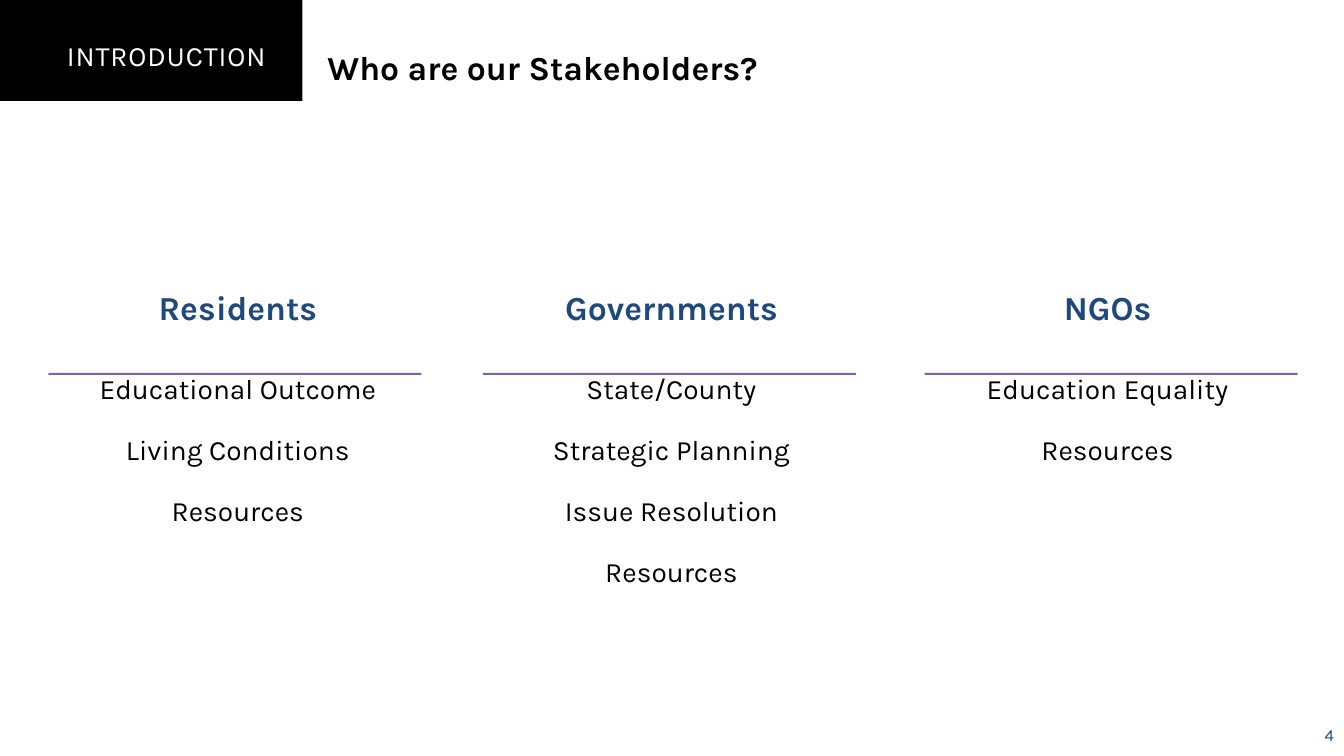
import math

from pptx import Presentation, util as u
from pptx.dml.color import RGBColor
from pptx.enum import shapes, text

BLACK, WHITE, NAVY, PURPLE = "000000", "FFFFFF", "1F497D", "8064A2"
WIDTH, HEIGHT = 13.33, 7.5


def paint(fill, color):
    fill.solid()
    fill.fore_color.rgb = RGBColor.from_string(color)


def write(frame, lines, align, wrap=True):
    """Fill a frame with (text, size, color, bold, before, after) lines."""
    frame.word_wrap = wrap
    frame.auto_size = text.MSO_AUTO_SIZE.NONE
    frame.vertical_anchor = text.MSO_ANCHOR.TOP
    for i, (words, size, color, bold, before, after) in enumerate(lines):
        line = frame.add_paragraph() if i else frame.paragraphs[0]
        line.text = words
        line.alignment = align
        line.line_spacing = 0.9
        line.space_before, line.space_after = u.Pt(before), u.Pt(after)
        line.font.name, line.font.size, line.font.bold = "Karla", u.Pt(size), bold
        paint(line.font.fill, color)


prs = Presentation()
prs.slide_width, prs.slide_height = u.Inches(WIDTH), u.Inches(HEIGHT)
slide = prs.slides.add_slide(prs.slide_layouts[5])
CENTER, LEFT, RIGHT = text.PP_ALIGN.CENTER, text.PP_ALIGN.LEFT, text.PP_ALIGN.RIGHT

# Half disc hanging from the top edge
center_x, radius_x, radius_y = 1.65, 1.5, 1.49
arc = [(center_x + radius_x * math.cos(math.radians(a)),
        radius_y * math.sin(math.radians(a))) for a in range(0, 181, 2)]
outline = slide.shapes.build_freeform(*arc[0], scale=u.Inches(1))
outline.add_line_segments(arc[1:], close=True)
half_disc = outline.convert_to_shape()
half_disc.shadow.inherit = False
paint(half_disc.fill, BLACK)
half_disc.line.fill.background()

# Section title, in front of the half disc
section = slide.shapes.title
section.left, section.top = u.Inches(0.35), u.Inches(0.37)
section.width, section.height = u.Inches(2.6), u.Inches(0.4)
write(section.text_frame, [("INTRODUCTION", 20, WHITE, False, 0, 0)], CENTER)
section.text_frame.paragraphs[0].runs[0].font._element.set("spc", "60")
half_disc._element.addnext(section._element)

# Question
question = slide.shapes.add_textbox(
    u.Inches(3.15), u.Inches(0.46), u.Inches(9.93), u.Inches(0.46))
write(question.text_frame,
      [("Who are our Stakeholders?", 24, BLACK, True, 0, 0)], LEFT)

# Stakeholder columns: box left, box width, rule left, heading, interests
stakeholders = [
    (0.33, 4.06, 0.48, "Residents",
     ["Educational Outcome", "Living Conditions", "Resources"]),
    (4.56, 4.2, 4.79, "Governments",
     ["State/County", "Strategic Planning", "Issue Resolution", "Resources"]),
    (8.92, 4.13, 9.17, "NGOs", ["Education Equality", "Resources"]),
]
for left, width, rule_left, heading, interests in stakeholders:
    column = slide.shapes.add_textbox(
        u.Inches(left), u.Inches(2.84), u.Inches(width),
        u.Inches(0.64 + 0.61 * len(interests)))
    write(column.text_frame,
          [(heading, 24, NAVY, True, 0, 24)]
          + [(interest, 20, BLACK, False, 10, 12) for interest in interests],
          CENTER)
    rule = slide.shapes.add_shape(
        shapes.MSO_SHAPE.RECTANGLE, u.Inches(rule_left), u.Inches(3.7),
        u.Inches(3.7), u.Inches(0.02))
    rule.shadow.inherit = False
    paint(rule.fill, PURPLE)
    rule.line.fill.background()

# Page number in the bottom right corner
page = slide.shapes.add_textbox(
    u.Inches(WIDTH - 0.55), u.Inches(7.09), u.Inches(0.55), u.Inches(0.4))
write(page.text_frame, [("4", 12, NAVY, False, 0, 0)], RIGHT, wrap=False)
page.text_frame.vertical_anchor = text.MSO_ANCHOR.MIDDLE
page.text_frame.paragraphs[0].line_spacing = 1.0

prs.save("out.pptx")
